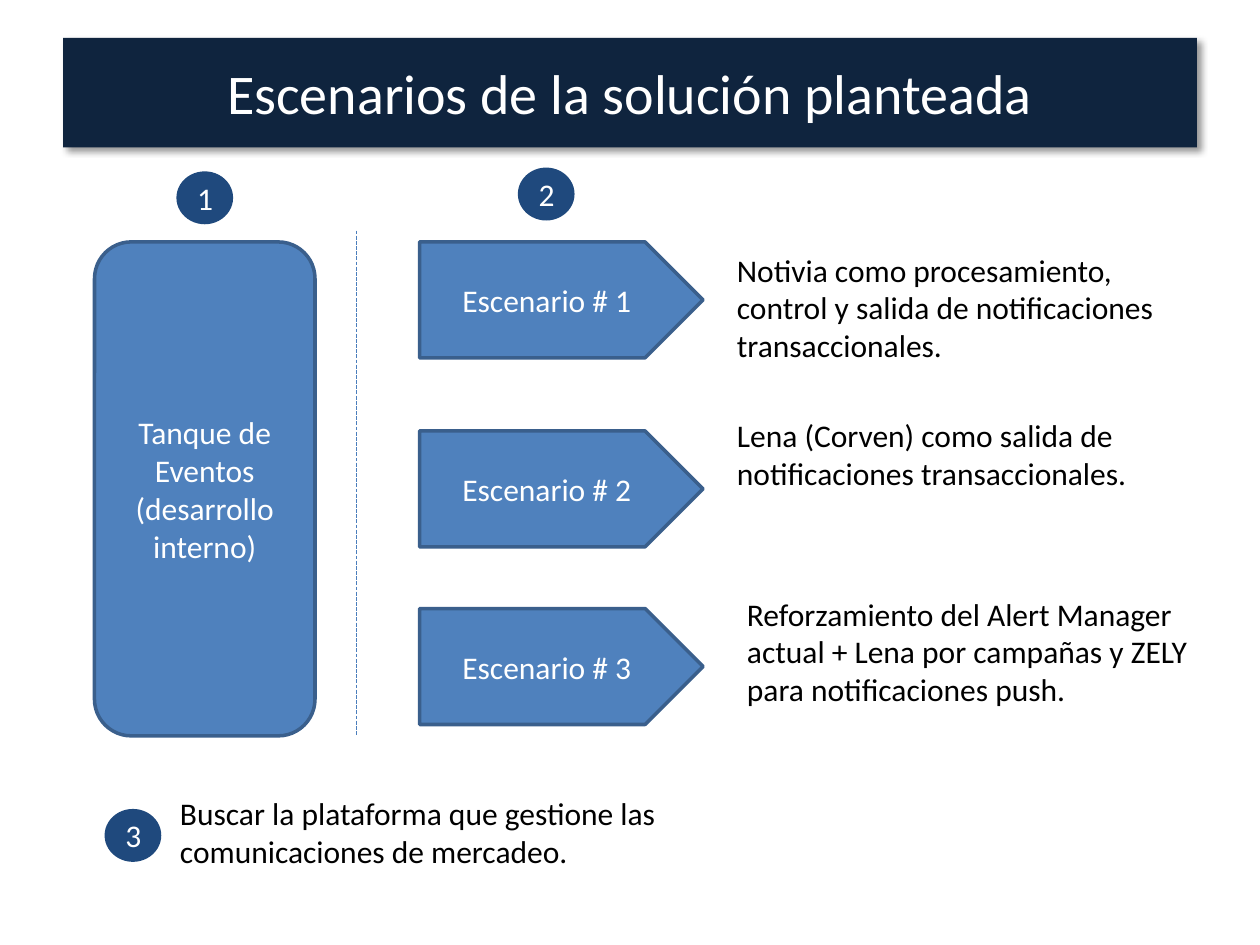
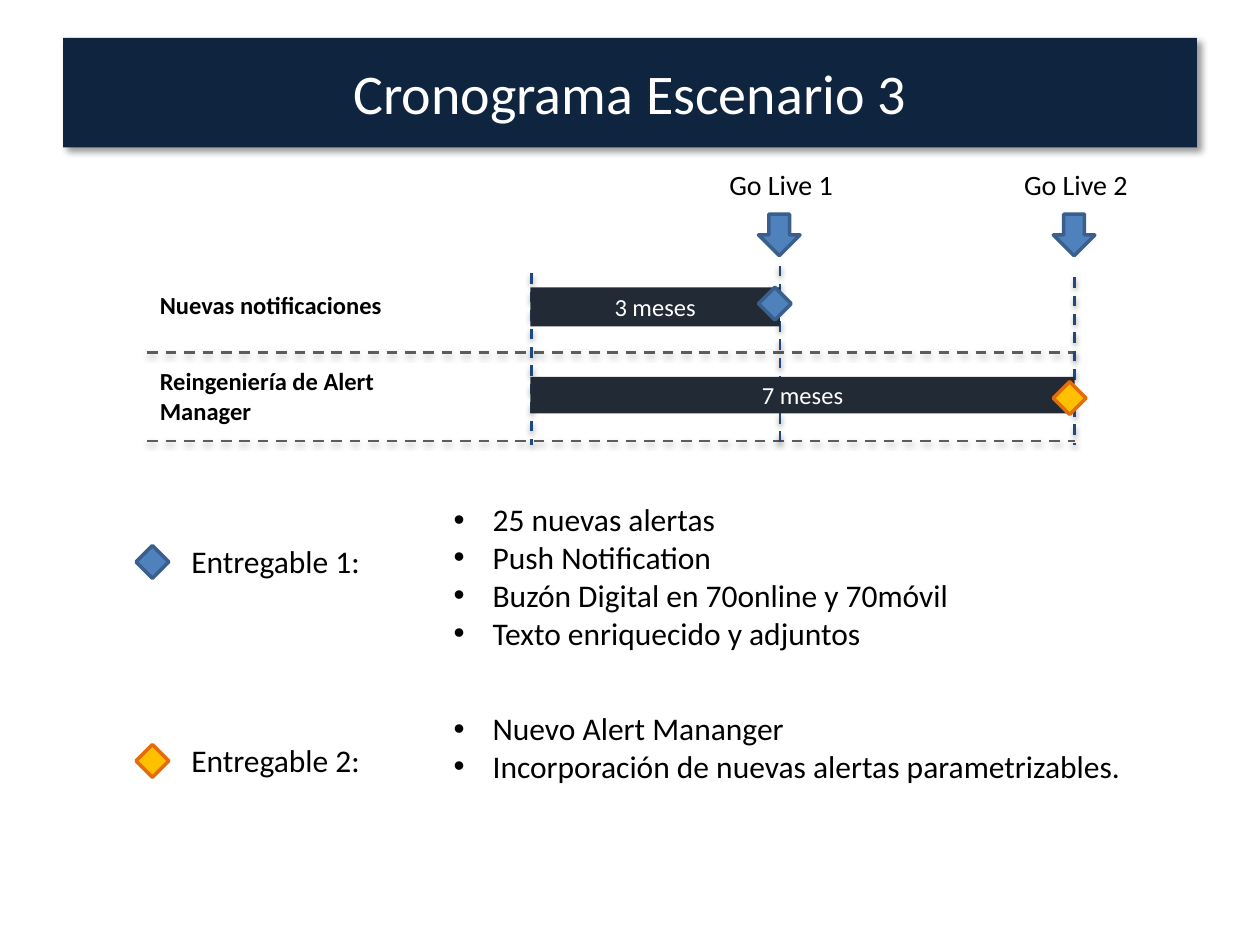
from dataclasses import dataclass
from typing import NamedTuple

from lxml.etree import SubElement
from pptx import Presentation
from pptx.dml.color import RGBColor
from pptx.enum.dml import MSO_LINE
from pptx.enum.shapes import MSO_CONNECTOR, MSO_SHAPE
from pptx.enum.text import MSO_ANCHOR, MSO_AUTO_SIZE, PP_ALIGN
from pptx.oxml.ns import qn
from pptx.util import Inches, Pt


@dataclass(frozen=True)
class Theme:
    font: str = "Calibri"
    banner: str = "0F243E"
    accent: str = "4F81BD"
    accent_edge: str = "3A5F8C"
    divider: str = "4B7EBC"
    badge: str = "1F497D"
    bar: str = "222A35"
    row_rule: str = "5C5C5C"
    gold: str = "FFC000"
    gold_edge: str = "E46C0A"
    light: str = "FFFFFF"
    dark: str = "000000"
    title_size: int = 32
    body_size: int = 18
    milestone_size: int = 16
    timeline_size: int = 14
    edge_width: float = 2


THEME = Theme()


class Box(NamedTuple):
    left: float
    top: float
    width: float
    height: float

    def inside(self, left, top, width, height):
        return Box(self.left + left, self.top + top, width, height)

    def inches(self):
        return [Inches(round(length, 2)) for length in self]


def rgb(value):
    return RGBColor.from_string(value)


def add_effects(shape, blur=0, distance=0, angle=0, opacity=0):
    effects = SubElement(shape._element.spPr, qn("a:effectLst"))
    if opacity:
        shadow = SubElement(effects, qn("a:outerShdw"), blurRad=str(Pt(blur)),
                            dist=str(Pt(distance)), dir=str(angle * 60000),
                            algn="ctr", rotWithShape="0")
        color = SubElement(shadow, qn("a:srgbClr"), val=THEME.dark)
        SubElement(color, qn("a:alpha"), val=str(opacity * 1000))


def add_bullet(paragraph):
    properties = paragraph._p.get_or_add_pPr()
    properties.set("marL", str(Inches(0.31)))
    properties.set("indent", str(Inches(-0.31)))
    SubElement(properties, qn("a:buFont"), typeface="Arial")
    SubElement(properties, qn("a:buChar"), char="•")


def write(frame, *lines, size=THEME.body_size, color=THEME.dark, bold=False,
          align=PP_ALIGN.LEFT, anchor=MSO_ANCHOR.TOP, wrap=True, bullets=False):
    frame.word_wrap = wrap
    frame.auto_size = MSO_AUTO_SIZE.NONE
    frame.vertical_anchor = anchor
    for index, line in enumerate(lines):
        paragraph = frame.add_paragraph() if index else frame.paragraphs[0]
        paragraph.text = line
        paragraph.alignment = align
        paragraph.space_before = Pt(0)
        if bullets:
            add_bullet(paragraph)
        font = paragraph.runs[0].font
        font.name, font.size, font.bold = THEME.font, Pt(size), bold
        font.color.rgb = rgb(color)


def add_label(slide, box, *lines, **text_format):
    write(slide.shapes.add_textbox(*box.inches()).text_frame, *lines, **text_format)


def add_figure(slide, kind, box, *lines, fill=THEME.accent, edge=None,
               size=THEME.body_size):
    figure = slide.shapes.add_shape(kind, *box.inches())
    figure.shadow.inherit = False
    figure.fill.solid()
    figure.fill.fore_color.rgb = rgb(fill)
    if edge:
        figure.line.color.rgb = rgb(edge)
        figure.line.width = Pt(THEME.edge_width)
    else:
        figure.line.fill.background()
    if lines:
        write(figure.text_frame, *lines, size=size, color=THEME.light,
              align=PP_ALIGN.CENTER, anchor=MSO_ANCHOR.MIDDLE)


def add_line(slide, start, end, color, width, dash, **shadow):
    ends = [Inches(round(length, 2)) for length in (*start, *end)]
    line = slide.shapes.add_connector(MSO_CONNECTOR.STRAIGHT, *ends)
    line.line.color.rgb = rgb(color)
    line.line.width = Pt(width)
    line.line.dash_style = dash
    add_effects(line, **shadow)


def add_guide(slide, start, end, color):
    add_line(slide, start, end, color, 1.5, MSO_LINE.DASH,
             blur=3.1, distance=1.6, angle=90, opacity=38)


def place(placeholder, box):
    (placeholder.left, placeholder.top,
     placeholder.width, placeholder.height) = box.inches()


def add_title(slide, text):
    title = slide.shapes.title
    place(title, Box(0.5, 0.3, 9, 0.87))
    title.fill.solid()
    title.fill.fore_color.rgb = rgb(THEME.banner)
    add_effects(title, blur=4, distance=3, angle=45, opacity=40)
    write(title.text_frame, text, size=THEME.title_size, color=THEME.light,
          align=PP_ALIGN.CENTER, anchor=MSO_ANCHOR.MIDDLE)


def add_badge(slide, left, top, number):
    add_figure(slide, MSO_SHAPE.OVAL, Box(left, top, 0.45, 0.42), number,
               fill=THEME.badge)


def add_event_tank(slide, box):
    add_badge(slide, box.left + 0.65, box.top - 0.56, "1")
    add_figure(slide, MSO_SHAPE.ROUNDED_RECTANGLE, box, "Tanque de Eventos",
               "(desarrollo interno)", edge=THEME.accent_edge)
    divider = box.left + box.width + 0.33
    add_line(slide, (divider, box.top - 0.09), (divider, box.top + box.height - 0.01),
             THEME.divider, 0.75, MSO_LINE.SQUARE_DOT)


def add_scenarios(slide, box):
    scenarios = [
        (0, 2.42, 0.02,
         "Notivia como procesamiento, control y salida de notificaciones transaccionales."),
        (1.5, 2.42, 1.33, "Lena (Corven) como salida de notificaciones transaccionales."),
        (2.91, 2.5, 2.75,
         "Reforzamiento del Alert Manager actual + Lena por campañas y "
         "ZELY para notificaciones push."),
    ]
    add_badge(slide, box.left + 0.78, box.top - 0.59, "2")
    for number, (top, text_left, text_top, description) in enumerate(scenarios, 1):
        add_figure(slide, MSO_SHAPE.PENTAGON, box.inside(0, top, 2.25, 0.92),
                   f"Escenario # {number}", edge=THEME.accent_edge)
        add_label(slide, box.inside(text_left, text_top, 3.75, 1.01), description)


def add_marketing_step(slide, box):
    add_badge(slide, box.left, box.top + 0.17, "3")
    add_label(slide, box.inside(0.5, 0, box.width - 0.5, box.height),
              "Buscar la plataforma que gestione las comunicaciones de mercadeo.")


def add_diamond(slide, box, fill, edge):
    add_figure(slide, MSO_SHAPE.DIAMOND, box, fill=fill, edge=edge)


def add_timeline(slide, box):
    bottom = box.top + box.height
    right = box.left + box.width
    start, first_live = box.left + 3.05, box.left + 5.02
    for rule_top in (bottom - 0.73, bottom - 0.03):
        add_guide(slide, (box.left, rule_top), (right, rule_top), THEME.row_rule)
    for x, rise in ((start, 1.36), (first_live, 1.42), (right, 1.33)):
        add_guide(slide, (x, bottom - rise), (x, bottom), THEME.badge)

    rows = [
        ("Nuevas notificaciones", 0.97, "3 meses", 1, 0.31, first_live, 1,
         THEME.accent, THEME.accent_edge),
        ("Reingeniería de Alert Manager", 1.58, "7 meses", 1.71, 0.29, right, 1.75,
         THEME.gold, THEME.gold_edge),
    ]
    for number, (task, task_top, duration, bar_top, bar_height, end,
                 diamond_top, fill, edge) in enumerate(rows, 1):
        add_label(slide, box.inside(0, task_top, 2.4, 0.57), task,
                  size=THEME.timeline_size, bold=True)
        add_figure(slide, MSO_SHAPE.RECTANGLE,
                   Box(start - 0.01, box.top + bar_top, end - start + 0.01, bar_height),
                   duration, fill=THEME.bar, size=THEME.timeline_size)
        add_diamond(slide, Box(end - 0.17, box.top + diamond_top, 0.26, 0.26), fill, edge)
        add_figure(slide, MSO_SHAPE.DOWN_ARROW, Box(end - 0.17, box.top + 0.42, 0.33, 0.33),
                   edge=THEME.accent_edge)
        add_label(slide, Box(end - 0.5, box.top, 1.04, 0.37), f"Go Live {number}",
                  size=THEME.milestone_size, wrap=False)


def add_deliverable(slide, box, name, list_holder, list_box, items, fill, edge):
    add_diamond(slide, box.inside(0, 0.08, 0.26, 0.26), fill, edge)
    add_label(slide, box.inside(0.34, 0, 1.56, 0.4), name, wrap=False)
    place(list_holder, list_box)
    write(list_holder.text_frame, *items, bullets=True)


def build_scenarios_slide(deck):
    slide = deck.slides.add_slide(deck.slide_layouts.get_by_name("Title Only"))
    add_title(slide, "Escenarios de la solución planteada")
    add_event_tank(slide, Box(0.75, 1.92, 1.75, 3.92))
    add_scenarios(slide, Box(3.33, 1.92, 6.25, 3.83))
    add_marketing_step(slide, Box(0.83, 6.25, 5.75, 0.71))


def build_schedule_slide(deck):
    slide = deck.slides.add_slide(deck.slide_layouts.get_by_name("Two Content"))
    add_title(slide, "Cronograma Escenario 3")
    add_timeline(slide, Box(1.17, 1.28, 7.36, 2.25))
    add_deliverable(slide, Box(1.08, 4.25, 1.9, 0.4), "Entregable 1:",
                    slide.placeholders[1], Box(3.5, 3.92, 5.58, 1.62),
                    ["25 nuevas alertas", "Push Notification",
                     "Buzón Digital en 70online y 70móvil", "Texto enriquecido y adjuntos"],
                    THEME.accent, THEME.accent_edge)
    add_deliverable(slide, Box(1.08, 5.83, 1.9, 0.4), "Entregable 2:",
                    slide.placeholders[2], Box(3.5, 5.58, 6.33, 1.01),
                    ["Nuevo Alert Mananger",
                     "Incorporación de nuevas alertas parametrizables."],
                    THEME.gold, THEME.gold_edge)


def main():
    deck = Presentation()
    deck.slide_width, deck.slide_height = Inches(10), Inches(7.5)
    build_scenarios_slide(deck)
    build_schedule_slide(deck)
    deck.save("out.pptx")


if __name__ == "__main__":
    main()
